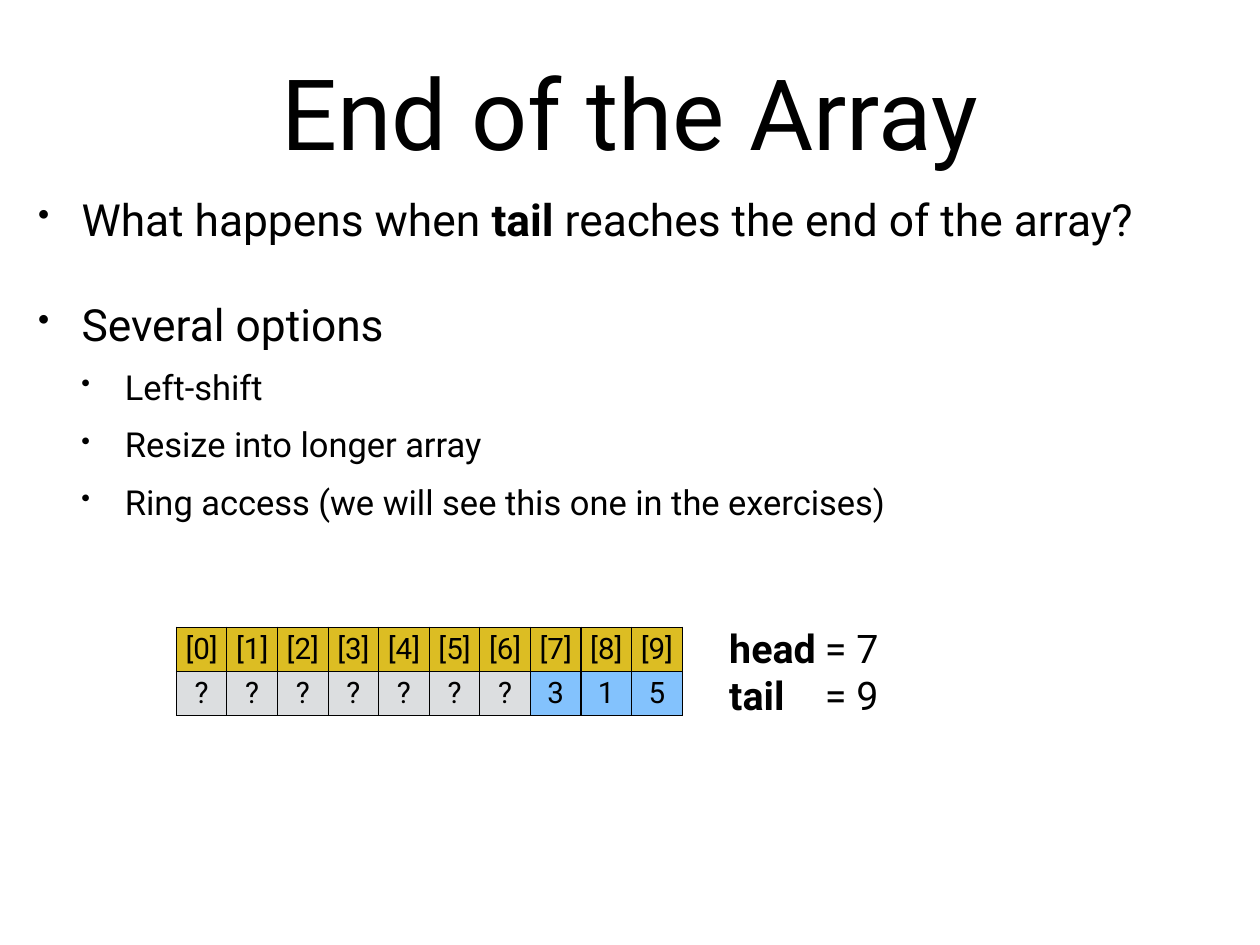
"""Build the slide on what happens when the tail reaches the end of the array."""
from dataclasses import dataclass

import pptx
import pptx.dml.color
import pptx.enum.text
import pptx.oxml
import pptx.oxml.ns
import pptx.slide
import pptx.text.text
import pptx.util

Inches = pptx.util.Inches
FONT = "Roboto"
COLORS = {"text": "000000", "index": "DCBD23", "unused": "DCDEE0", "queued": "83C2FD"}
NAMESPACE = pptx.oxml.ns.nsdecls("a")
MIDDLE = pptx.enum.text.MSO_ANCHOR.MIDDLE
CENTER = pptx.enum.text.PP_ALIGN.CENTER
HEAD, TAIL = 7, 9
VALUES = ["?"] * HEAD + ["3", "1", "5"]


@dataclass
class Bullet:
    pieces: list[str]
    level: int = 0


@dataclass
class Level:
    size: int
    space_before: int


BULLETS = [
    Bullet(["What happens when ", "tail", " reaches the end of the array?"]),
    Bullet(["Several options"]),
    Bullet(["Left-shift"], 1),
    Bullet(["Resize into longer array"], 1),
    Bullet(["Ring access (we will see this one in the exercises)"], 1),
]
LEVELS = [Level(36, 42), Level(28, 13)]


def color(name: str) -> pptx.dml.color.RGBColor:
    return pptx.dml.color.RGBColor.from_string(COLORS[name])


def format_runs(paragraph: pptx.text.text._Paragraph, size: int) -> None:
    for run in paragraph.runs:
        run.font.name = FONT
        run.font.size = pptx.util.Pt(size)
        run.font.color.rgb = color("text")
        run.font.bold = run.text in ("head", "tail")


def write_pieces(paragraph: pptx.text.text._Paragraph, pieces: list[str], size: int) -> None:
    for piece in pieces:
        paragraph.add_run().text = piece
    format_runs(paragraph, size)


def set_frame(text_frame: pptx.text.text.TextFrame, wrap: bool) -> None:
    text_frame.word_wrap = wrap
    text_frame.vertical_anchor = MIDDLE
    text_frame.margin_left = text_frame.margin_right = Inches(0.06)
    text_frame.margin_top = text_frame.margin_bottom = Inches(0.06)


def add_frame(slide: pptx.slide.Slide, left: float, top: float, width: float,
              height: float, wrap: bool) -> pptx.text.text.TextFrame:
    box = slide.shapes.add_textbox(Inches(left), Inches(top), Inches(width), Inches(height))
    set_frame(box.text_frame, wrap)
    return box.text_frame


def next_paragraph(text_frame: pptx.text.text.TextFrame, index: int) -> pptx.text.text._Paragraph:
    return text_frame.add_paragraph() if index else text_frame.paragraphs[0]


def add_title(slide: pptx.slide.Slide) -> None:
    title = slide.shapes.title
    title.left, title.top = Inches(1.04), Inches(0.49)
    title.width, title.height = Inches(12.14), Inches(1.53)
    title.text_frame.text = "End of the Array"
    title.text_frame.auto_size = pptx.enum.text.MSO_AUTO_SIZE.NONE
    set_frame(title.text_frame, True)
    paragraph = title.text_frame.paragraphs[0]
    paragraph.alignment = CENTER
    format_runs(paragraph, 80)


def add_bullets(slide: pptx.slide.Slide) -> None:
    text_frame = add_frame(slide, 0.37, 2.09, 13.62, 3.88, True)
    indent = Inches(0.49)
    for index, bullet in enumerate(BULLETS):
        level = LEVELS[bullet.level]
        paragraph = next_paragraph(text_frame, index)
        paragraph.level = bullet.level
        paragraph.space_before = pptx.util.Pt(level.space_before)
        write_pieces(paragraph, bullet.pieces, level.size)
        properties = paragraph._p.get_or_add_pPr()
        properties.set("marL", str(indent * (bullet.level + 1)))
        properties.set("indent", str(-indent))
        for mark in ('buSzPct {} val="75000"', 'buChar {} char="•"'):
            properties.append(pptx.oxml.parse_xml(f"<a:{mark.format(NAMESPACE)}/>"))


def format_cell(cell: "pptx.table._Cell", text: str, fill: str) -> None:
    cell.text_frame.text = text
    cell.vertical_anchor = MIDDLE
    cell.margin_left = cell.margin_right = Inches(0.05)
    cell.margin_top = cell.margin_bottom = Inches(0.05)
    paragraph = cell.text_frame.paragraphs[0]
    paragraph.alignment = CENTER
    format_runs(paragraph, 24)
    properties = cell._tc.get_or_add_tcPr()
    for side in "LRTB":
        properties.append(pptx.oxml.parse_xml(
            f'<a:ln{side} {NAMESPACE} w="{pptx.util.Pt(1)}"><a:solidFill>'
            f'<a:srgbClr val="{COLORS["text"]}"/></a:solidFill></a:ln{side}>'))
    cell.fill.solid()
    cell.fill.fore_color.rgb = color(fill)


def add_array(slide: pptx.slide.Slide) -> None:
    table = slide.shapes.add_table(2, len(VALUES), Inches(1.99), Inches(7.08),
                                   Inches(5.71), Inches(1)).table
    table.first_row = table.horz_banding = False
    for index, value in enumerate(VALUES):
        format_cell(table.cell(0, index), f"[{index}]", "index")
        format_cell(table.cell(1, index), value, "queued" if HEAD <= index <= TAIL else "unused")


def add_pointers(slide: pptx.slide.Slide) -> None:
    text_frame = add_frame(slide, 8.17, 6.98, 1.92, 1.19, False)
    for index, (name, position) in enumerate({"head": HEAD, "tail": TAIL}.items()):
        paragraph = next_paragraph(text_frame, index)
        write_pieces(paragraph, [name, f"\t= {position}"], 32)
        paragraph._p.get_or_add_pPr().append(pptx.oxml.parse_xml(
            f'<a:tabLst {NAMESPACE}><a:tab pos="{Inches(1.08)}" algn="l"/></a:tabLst>'))


def main() -> None:
    presentation = pptx.Presentation()
    presentation.slide_width, presentation.slide_height = Inches(14.22), Inches(10.67)
    slide = presentation.slides.add_slide(presentation.slide_layouts.get_by_name("Title Only"))
    add_title(slide)
    add_bullets(slide)
    add_array(slide)
    add_pointers(slide)
    presentation.save("out.pptx")


if __name__ == "__main__":
    main()
